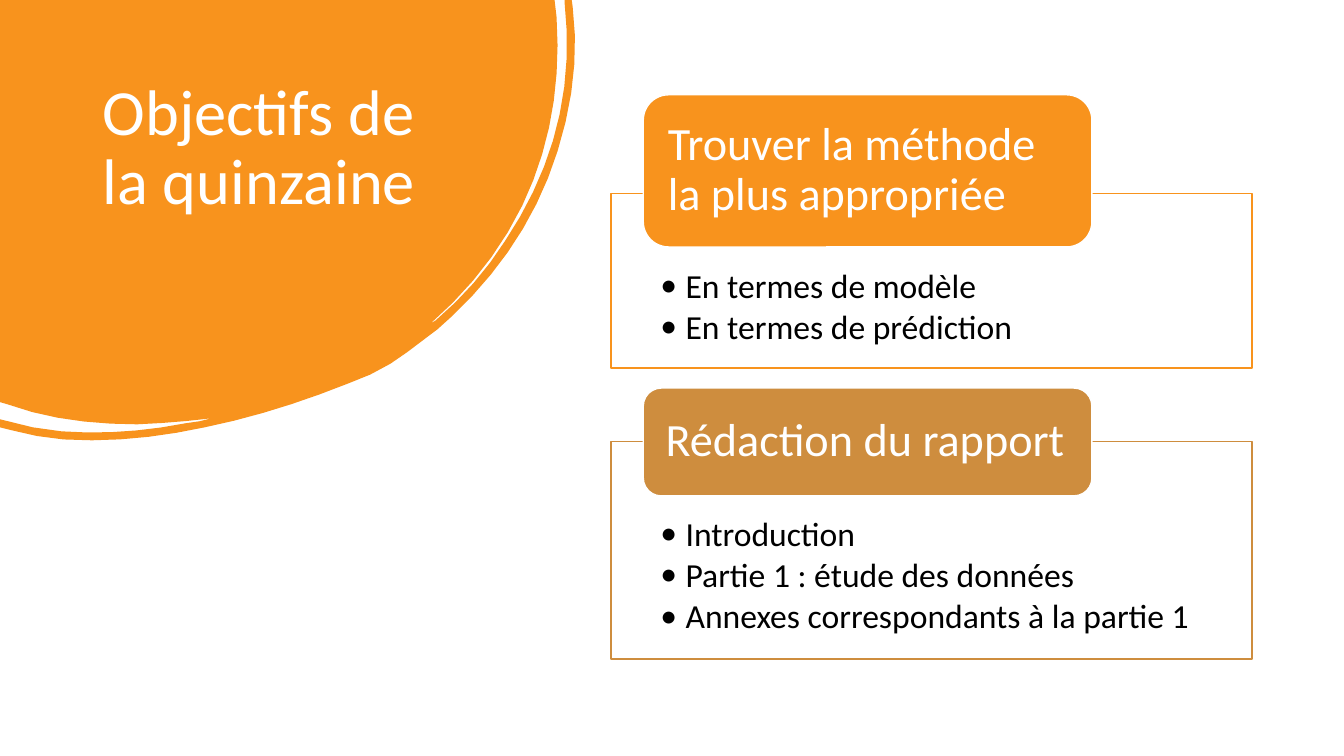
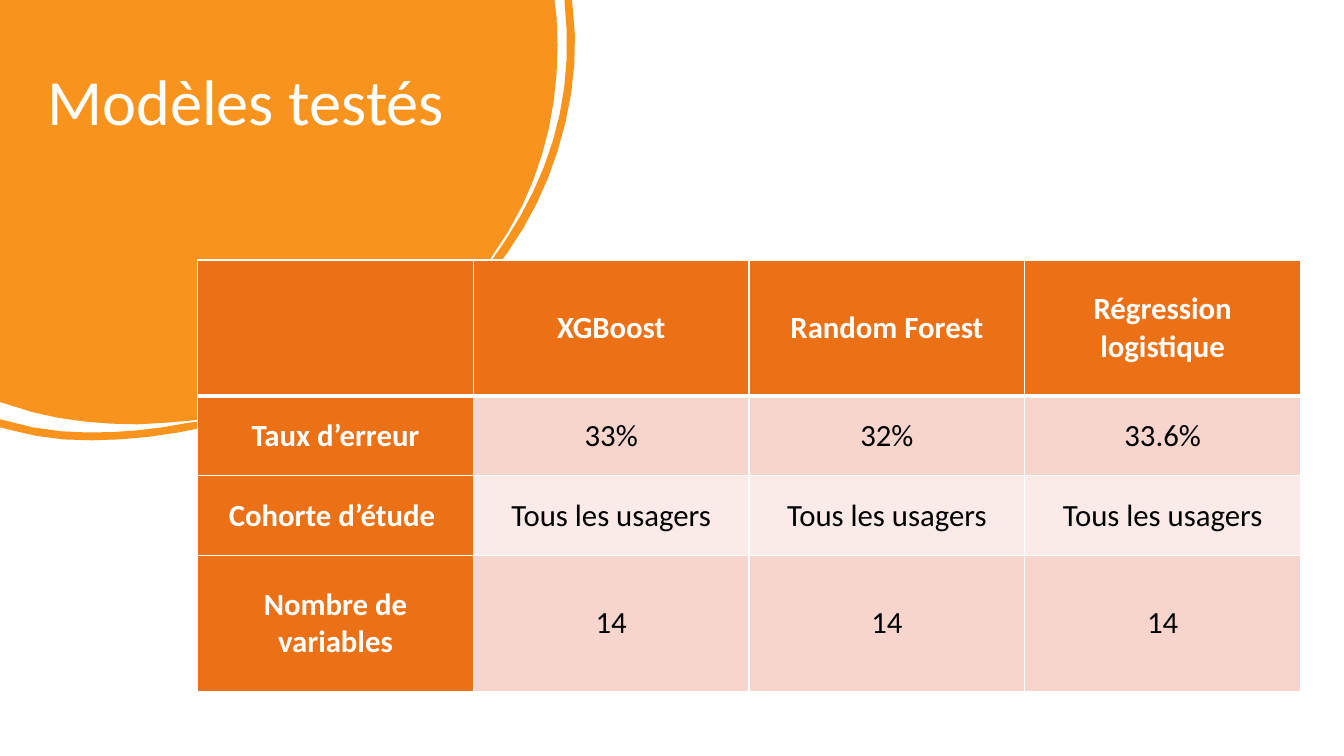
import math

from lxml import etree
from pptx import Presentation
from pptx.dml.color import RGBColor
from pptx.enum import shapes, text
from pptx.oxml import ns
from pptx.util import Inches, Pt

WHITE = RGBColor(0xFF, 0xFF, 0xFF)
BLACK = RGBColor(0x00, 0x00, 0x00)
ORANGE = RGBColor(0xF8, 0x93, 0x1D)
BRONZE = RGBColor(0xCE, 0x8D, 0x3E)
DARK_ORANGE = RGBColor(0xEC, 0x70, 0x16)
ROSE = RGBColor(0xF8, 0xD5, 0xCC)
PALE_ROSE = RGBColor(0xFB, 0xEB, 0xE8)
FONT = "Calibri"

BLOB = [
    (5.5, 0), (5.52, 0.17),
    (5.53, 0.26, 5.53, 0.36, 5.53, 0.45),
    (5.53, 1.01, 5.42, 1.54, 5.18, 2.04),
    (4.96, 2.49, 4.65, 2.88, 4.27, 3.21),
    (4.29, 3.21, 4.3, 3.19, 4.32, 3.18),
    (4.59, 2.95, 4.82, 2.69, 5.01, 2.39),
    (5.43, 1.76, 5.65, 1.07, 5.62, 0.3),
    (5.62, 0.21, 5.61, 0.12, 5.6, 0.03),
    (5.6, 0), (5.67, 0), (5.68, 0.07),
    (5.74, 0.54, 5.68, 1.02, 5.53, 1.5),
    (5.33, 2.14, 4.97, 2.68, 4.48, 3.14),
    (4.39, 3.23, 4.29, 3.31, 4.19, 3.38),
    (4.09, 3.46, 3.99, 3.53, 3.87, 3.61),
    (3.75, 3.69, 3.6, 3.75, 3.44, 3.81),
    (2.99, 3.99, 2.52, 4.14, 2.03, 4.24),
    (1.57, 4.34, 1.1, 4.39, 0.63, 4.36),
    (0.45, 4.34, 0.28, 4.32, 0.12, 4.27),
    (0, 4.24), (0, 4.16), (0.04, 4.17),
    (0.23, 4.23, 0.42, 4.26, 0.61, 4.28),
    (1.03, 4.31, 1.43, 4.28, 1.84, 4.2),
    (1.89, 4.2, 1.93, 4.19, 1.98, 4.18),
    (2.02, 4.17, 2.06, 4.16, 2.1, 4.15),
    (1.86, 4.18, 1.61, 4.2, 1.36, 4.21),
    (0.92, 4.21, 0.48, 4.16, 0.07, 4.01),
    (0, 3.99),
]


def flatten(segments, stride=0.3):
    points = [(0, 0)]
    for segment in segments:
        if len(segment) == 2:
            points.append(segment)
            continue
        coordinates = (*points[-1], *segment)
        controls = list(zip(coordinates[::2], coordinates[1::2]))
        steps = math.ceil(math.dist(controls[0], controls[-1]) / stride)
        for step in range(1, steps + 1):
            t = step / steps
            weights = ((1 - t) ** 3, 3 * t * (1 - t) ** 2, 3 * t * t * (1 - t), t ** 3)
            points.append(tuple(sum(w * point[axis] for w, point in zip(weights, controls))
                                for axis in (0, 1)))
    return [(Inches(x), Inches(y)) for x, y in points]


def write(frame, content, size, color, bold=False, align=text.PP_ALIGN.LEFT,
          anchor=text.MSO_ANCHOR.TOP, insets=(0.1, 0.05, 0.1, 0.05),
          line_spacing=0.9, after=0, bullet=False):
    frame.word_wrap = True
    frame.auto_size = text.MSO_AUTO_SIZE.NONE
    frame.vertical_anchor = anchor
    (frame.margin_left, frame.margin_top,
     frame.margin_right, frame.margin_bottom) = map(Inches, insets)
    frame.text = content
    for paragraph in frame.paragraphs:
        paragraph.alignment = align
        paragraph.line_spacing = line_spacing
        paragraph.space_before = Pt(0)
        paragraph.space_after = Pt(after)
        for run in paragraph.runs:
            run.font.name = FONT
            run.font.size = Pt(size)
            run.font.bold = bold
            run.font.color.rgb = color
        if bullet:
            properties = paragraph._p.get_or_add_pPr()
            properties.set("marL", str(Inches(0.25)))
            properties.set("indent", str(-Inches(0.25)))
            etree.SubElement(properties, ns.qn("a:buFont")).set("typeface", FONT)
            etree.SubElement(properties, ns.qn("a:buChar")).set("char", "•")


def draw_border(cell, side, width):
    line = etree.SubElement(cell._tc.get_or_add_tcPr(), ns.qn(f"a:ln{side}"))
    line.set("w", str(Pt(width)))
    fill = etree.SubElement(line, ns.qn("a:solidFill"))
    etree.SubElement(fill, ns.qn("a:srgbClr")).set("val", str(WHITE))


class Deck:
    def __init__(self):
        self.presentation = Presentation()
        self.presentation.slide_width = Inches(13.33)
        self.presentation.slide_height = Inches(7.5)
        self.slide = None

    def add_slide(self, heading, left, top, width, height):
        self.slide = self.presentation.slides.add_slide(self.presentation.slide_layouts[5])
        title = self.slide.shapes.title
        title.left, title.top = Inches(left), Inches(top)
        title.width, title.height = Inches(width), Inches(height)
        write(title.text_frame, heading, 46, WHITE)
        title._element.addprevious(self.add_blob()._element)

    def add_blob(self):
        start, *outline = flatten(BLOB)
        builder = self.slide.shapes.build_freeform(*start)
        builder.add_line_segments(outline, close=True)
        blob = builder.convert_to_shape()
        blob.shadow.inherit = False
        blob.fill.solid()
        blob.fill.fore_color.rgb = ORANGE
        blob.line.fill.background()
        return blob

    def add_box(self, preset, left, top, width, height, fill, line):
        box = self.slide.shapes.add_shape(preset, Inches(left), Inches(top),
                                          Inches(width), Inches(height))
        box.shadow.inherit = False
        box.fill.solid()
        box.fill.fore_color.rgb = fill
        box.line.color.rgb = line
        box.line.width = Pt(1)
        return box.text_frame

    def add_goal(self, goal, items, color, label_top, label_height, panel_top, panel_height):
        panel = self.add_box(shapes.MSO_SHAPE.RECTANGLE, 6.06, panel_top, 6.36, panel_height,
                             WHITE, color)
        write(panel, "\n".join(items), 24, BLACK, insets=(0.49, 0.75, 0.49, 0.19),
              after=3.6, bullet=True)
        label = self.add_box(shapes.MSO_SHAPE.ROUNDED_RECTANGLE, 6.38, label_top, 4.45,
                             label_height, color, WHITE)
        write(label, goal, 33, WHITE, anchor=text.MSO_ANCHOR.MIDDLE, insets=(0.17, 0, 0.17, 0))

    def add_grid(self, rows, left, top, width, heights):
        columns = len(rows[0])
        grid = self.slide.shapes.add_table(len(rows), columns, Inches(left), Inches(top),
                                           Inches(width), Inches(sum(heights))).table
        for column in grid.columns:
            column.width = Inches(width / columns)
        for r, (row, height) in enumerate(zip(rows, heights)):
            grid.rows[r].height = Inches(height)
            for c, content in enumerate(row):
                cell = grid.cell(r, c)
                heading = r == 0 or c == 0
                write(cell.text_frame, content, 22, WHITE if heading else BLACK, bold=heading,
                      align=text.PP_ALIGN.CENTER, line_spacing=1)
                cell.vertical_anchor = text.MSO_ANCHOR.MIDDLE
                cell.margin_left = cell.margin_right = Inches(0.12)
                cell.margin_top = cell.margin_bottom = Inches(0.06)
                for side in "LRTB":
                    thick = (r, side) in ((0, "B"), (1, "T"))
                    draw_border(cell, side, 3 if thick else 1)
                cell.fill.solid()
                body = ROSE if r % 2 else PALE_ROSE
                cell.fill.fore_color.rgb = DARK_ORANGE if heading else body


def main():
    deck = Deck()

    deck.add_slide("Objectifs de la quinzaine", 0.92, 0.74, 3.52, 2.22)
    deck.add_goal("Trouver la méthode la plus appropriée",
                  ["En termes de modèle", "En termes de prédiction"],
                  ORANGE, 0.94, 1.51, 1.92, 1.73)
    deck.add_goal("Rédaction du rapport",
                  ["Introduction", "Partie 1 : étude des données",
                   "Annexes correspondants à la partie 1"],
                  BRONZE, 3.85, 1.07, 4.38, 2.16)

    deck.add_slide("Modèles testés", 0.37, 0.64, 4.28, 1.47)
    deck.add_grid([
        ["", "XGBoost", "Random Forest", "Régression logistique"],
        ["Taux d’erreur", "33%", "32%", "33.6%"],
        ["Cohorte d’étude ", *["Tous les usagers"] * 3],
        ["Nombre de variables", *["14"] * 3],
    ], 1.96, 2.58, 10.94, [1.35, 0.79, 0.79, 1.35])

    deck.presentation.save("out.pptx")


if __name__ == "__main__":
    main()
